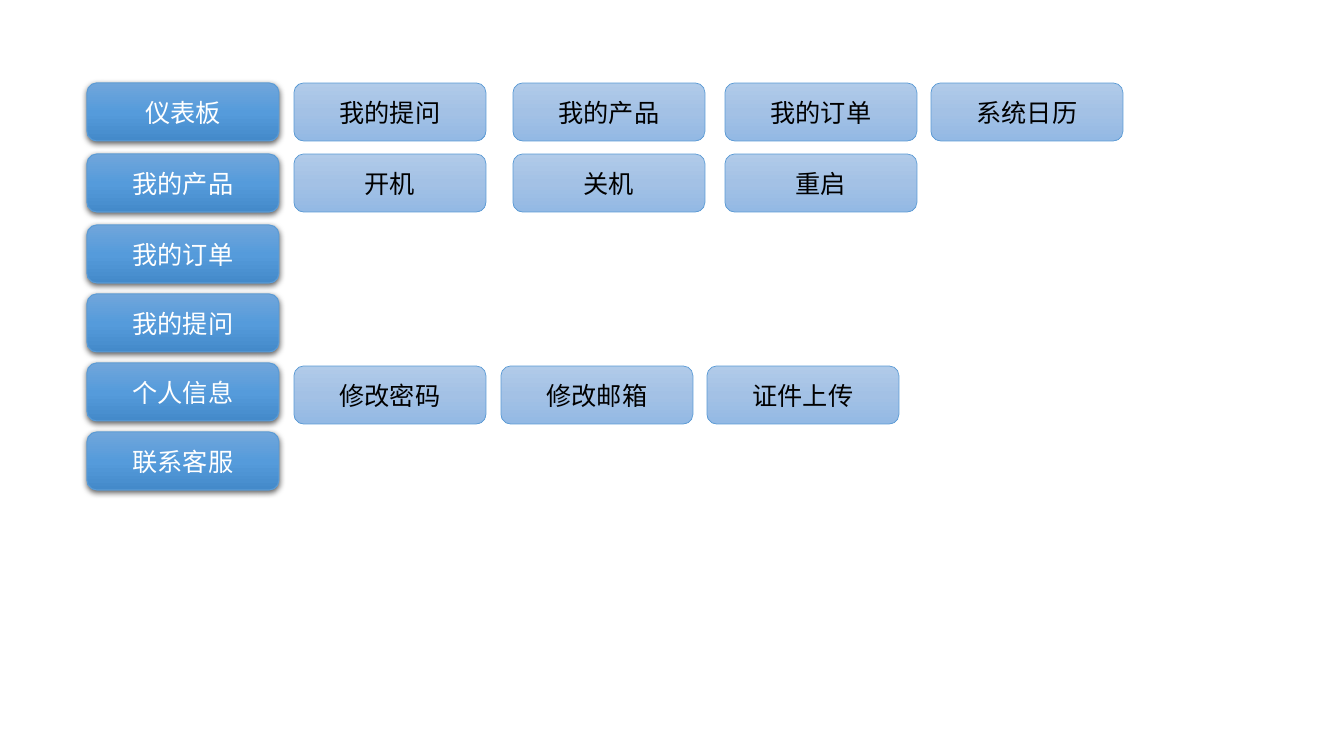
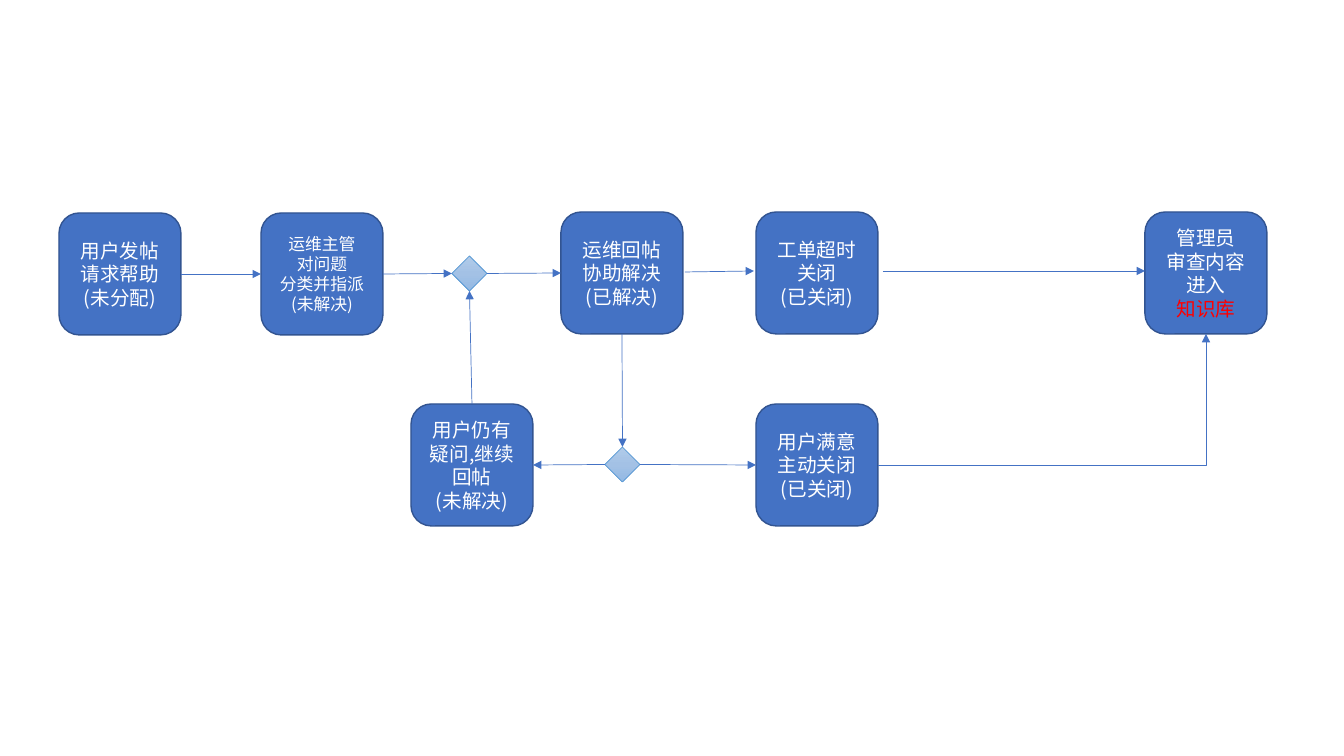
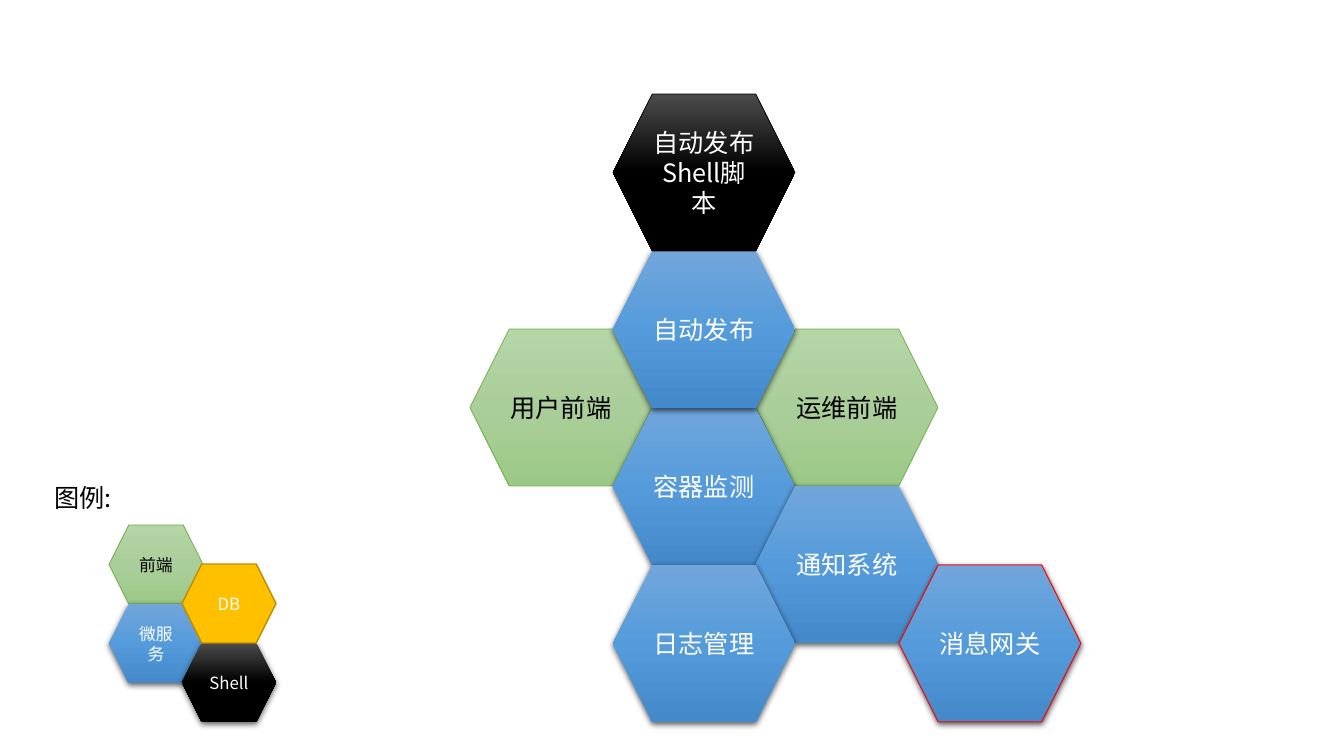
from lxml import etree
from pptx import Presentation
from pptx import util as u
from pptx.dml.color import RGBColor as Rgb
from pptx.enum import shapes, text
from pptx.oxml.ns import qn

PX = 914400 / 100.8
FONT = "Noto Sans CJK SC"
KIND = shapes.MSO_SHAPE
C = {"white": "FFFFFF", "black": "000000", "red": "FF0000",
     "blue": "5B9BD5", "green": "70AD47", "royal": "4472C4",
     "navy": "325491", "gold": "FFC000", "ochre": "BD8E00"}
FADE = {"deep": ["71A6DB", "559BDB", "448ACA"],
        "pale": ["B1CBE9", "A3C1E5", "93B9E4"],
        "leaf": ["B5D5A7", "AACE9A", "9CC987"],
        "dark": ["4B4B4B", "000000", "000000"]}
LOOK = {"menu": ("deep", "blue", 0.75, "white", True),
        "item": ("pale", "blue", 0.5, "black", False),
        "step": ("royal", "navy", 1, "white", False),
        "front": ("leaf", "green", 0.5, "black", False),
        "service": ("deep", None, 0, "white", True),
        "alert": ("deep", "red", 0.75, "white", True),
        "script": ("dark", "black", 0.5, "white", False),
        "shell": ("dark", None, 0, "white", True),
        "db": ("gold", "ochre", 1, "white", False),
        "label": ("white", None, 0, "black", False)}

deck = Presentation()
deck.slide_width, deck.slide_height = int(1344 * PX), int(756 * PX)
menu, flow, hive = [deck.slides.add_slide(deck.slide_layouts[6]) for _ in range(3)]


def draw(slide, kind, look, box, words="", size=18):
    fill, edge, width, ink, shade = LOOK[look]
    shape = slide.shapes.add_shape(kind, *[int(n * PX) for n in box])
    if fill in FADE:
        shape.fill.gradient()
        shape.fill.gradient_angle = 270
        stops = shape._element.spPr.find(".//" + qn("a:gsLst"))
        stops.clear()
        for i, tone in enumerate(FADE[fill]):
            stop = etree.SubElement(stops, qn("a:gs"), pos=str(i * 50000))
            etree.SubElement(stop, qn("a:srgbClr"), val=tone)
    else:
        shape.fill.solid()
        shape.fill.fore_color.rgb = Rgb.from_string(C[fill])
    if edge:
        shape.line.color.rgb = Rgb.from_string(C[edge])
        shape.line.width = u.Pt(width)
    else:
        shape.line.fill.background()
    shape.shadow.inherit = False
    if shade:
        glow = etree.SubElement(
            shape._element.spPr.find(qn("a:effectLst")), qn("a:outerShdw"),
            blurRad="57150", dist="19050", dir="5400000", algn="ctr", rotWithShape="0")
        tint = etree.SubElement(glow, qn("a:srgbClr"), val=C["black"])
        etree.SubElement(tint, qn("a:alpha"), val="63000")
    if words:
        frame = shape.text_frame
        frame.text = words
        frame.word_wrap = look != "label"
        frame.vertical_anchor = text.MSO_ANCHOR.MIDDLE
        for para in frame.paragraphs:
            para.alignment = text.PP_ALIGN.CENTER
            para.font.size = u.Pt(size)
            para.font.name = FONT
            para.font.color.rgb = Rgb.from_string(C[ink])
            etree.SubElement(para._p.pPr.find(qn("a:defRPr")), qn("a:ea"), typeface=FONT)
    return shape


def link(kind, x1=0, y1=0, x2=0, y2=0):
    line = flow.shapes.add_connector(kind, *[int(n * PX) for n in (x1, y1, x2, y2)])
    line.line.color.rgb = Rgb.from_string(C["royal"])
    line.line.width = u.Pt(0.5)
    etree.SubElement(line.line._get_or_add_ln(), qn("a:tailEnd"), type="triangle")
    etree.SubElement(line._element.spPr, qn("a:effectLst"))
    return line


WIDE, HIGH = 192, 58
WIDE_COLS, EVEN_COLS = (294, 513, 725, 931), (294, 501, 707)
for top, name, drop, cols, items in [
        (83, "仪表板", 0, WIDE_COLS, ["我的提问", "我的产品", "我的订单", "系统日历"]),
        (154, "我的产品", 0, WIDE_COLS, ["开机", "关机", "重启"]),
        (225, "我的订单", 0, (), []),
        (294, "我的提问", 0, (), []),
        (363, "个人信息", 3, EVEN_COLS, ["修改密码", "修改邮箱", "证件上传"]),
        (432, "联系客服", 0, (), [])]:
    draw(menu, KIND.ROUNDED_RECTANGLE, "menu", (87, top, WIDE, HIGH), name)
    for left, item in zip(cols, items):
        draw(menu, KIND.ROUNDED_RECTANGLE, "item", (left, top + drop, WIDE, HIGH), item)

SIDE, GEM = 122, 35
node = {}
for key, left, top, size, words in [
        ("ask", 59, 213, 14, "用户发帖请求帮助\n(未分配)"),
        ("sort", 261, 213, 12, "运维主管\n对问题\n分类并指派\n(未解决)"),
        ("reply", 561, 212, 14, "运维回帖协助解决\n(已解决)"),
        ("late", 756, 212, 14, "工单超时关闭\n(已关闭)"),
        ("happy", 756, 404, 14, "用户满意主动关闭\n(已关闭)"),
        ("again", 411, 404, 14, "用户仍有疑问,继续回帖\n(未解决)"),
        ("admin", 1145, 212, 14, "管理员\n审查内容\n进入\n知识库")]:
    node[key] = draw(flow, KIND.ROUNDED_RECTANGLE, "step", (left, top, SIDE, SIDE), words, size)
node["admin"].text_frame.paragraphs[-1].font.color.rgb = Rgb.from_string(C["red"])
for key, left, top in [("merge", 452, 256), ("split", 605, 447)]:
    node[key] = draw(flow, KIND.DIAMOND, "item", (left, top, GEM, GEM))

TOP, LEFT, BOTTOM, RIGHT = range(4)
LINE, BENT = shapes.MSO_CONNECTOR.STRAIGHT, shapes.MSO_CONNECTOR.ELBOW
for kind, start, out, end, into in [
        (LINE, "ask", RIGHT, "sort", LEFT),
        (LINE, "sort", RIGHT, "merge", LEFT),
        (LINE, "merge", RIGHT, "reply", LEFT),
        (LINE, "reply", BOTTOM, "split", TOP),
        (LINE, "split", RIGHT, "happy", LEFT),
        (LINE, "split", LEFT, "again", RIGHT),
        (LINE, "again", TOP, "merge", BOTTOM),
        (BENT, "happy", RIGHT, "admin", BOTTOM)]:
    line = link(kind)
    line.begin_connect(node[start], out)
    line.end_connect(node[end], into)
    if kind == BENT:
        line._element.spPr.find(qn("a:prstGeom")).set("prst", "bentConnector2")
link(LINE, 685, 272, 754, 271)
link(LINE, 883, 271, 1145, 271)

for col, row, look, words in [
        (0, 3, "front", "用户前端"), (2, 3, "front", "运维前端"),
        (1, 4, "service", "容器监测"), (1, 2, "service", "自动发布"),
        (2, 5, "service", "通知系统"), (3, 6, "alert", "消息网关"),
        (1, 6, "service", "日志管理"), (1, 0, "script", "自动发布\nShell脚本")]:
    draw(hive, KIND.HEXAGON, look, (470 + 143 * col, 94 + 157 * row // 2, 182, 157), words)
draw(hive, KIND.RECTANGLE, "label", (43, 479, 80, 36), "图例:")
for col, row, look, words in [
        (0, 0, "front", "前端"), (0, 2, "service", "微服务"),
        (1, 3, "shell", "Shell"), (1, 1, "db", "DB")]:
    draw(hive, KIND.HEXAGON, look, (109 + 73 * col, 525 + 79 * row // 2, 94, 79), words, 12)

deck.save("out.pptx")
